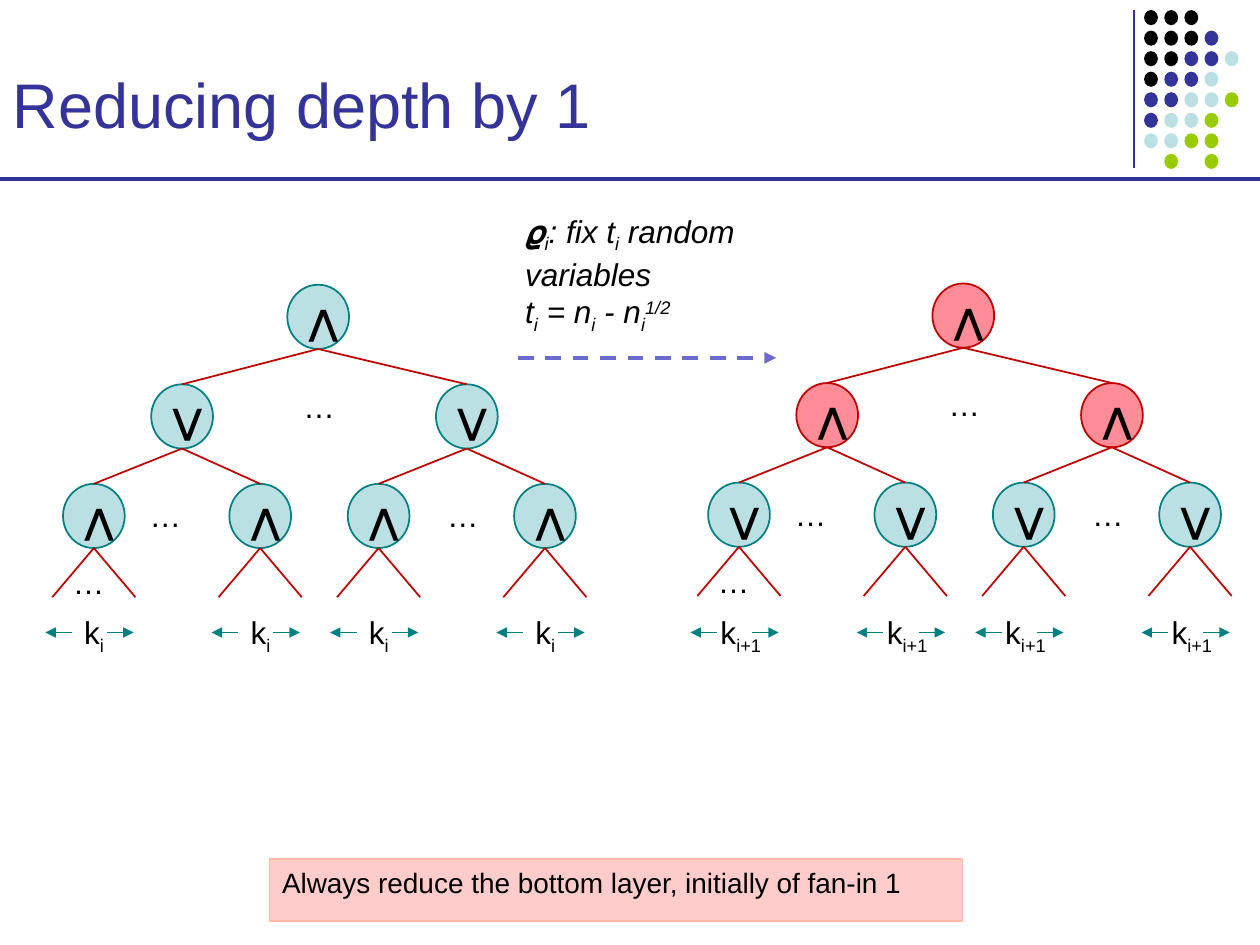
from lxml import etree
from pptx import Presentation
from pptx.dml.color import RGBColor
from pptx.enum import dml, shapes, text
from pptx.oxml import ns
from pptx.util import Inches, Pt

COLORS = {
    "black": "000000", "navy": "333399", "pale": "BBE0E3", "lime": "99CC00",
    "teal": "008080", "red": "C00000", "rose": "FF8C96", "violet": "6B6BCF",
    "blush": "FFCCCC", "peach": "FFB9A6",
}
FONT = "Arial"
DOT_ROWS = ["KKK", "KKKN", "KKNNP", "KNNP", "NNPPL", "NPPL", "PPLL", " L L"]
DOT_COLORS = {"K": "black", "N": "navy", "P": "pale", "L": "lime"}
AND, OR = "⋀", "⋁"
GATE_W, GATE_H = 0.49, 0.51
SUB, SUPER = -25, 30


def rgb(name):
    return RGBColor.from_string(COLORS[name])


def add_run(paragraph, content, size=18, color="black", bold=None, italic=None, baseline=0):
    run = paragraph.add_run()
    run.text = content
    font = run.font
    font.name, font.size, font.bold, font.italic = FONT, Pt(size), bold, italic
    font.color.rgb = rgb(color)
    if baseline:
        run._r.get_or_add_rPr().set("baseline", str(baseline * 1000))


def add_line(slide, start, end, color, width=1, arrow=False, dash=None):
    line = slide.shapes.add_connector(
        shapes.MSO_CONNECTOR.STRAIGHT, *(Inches(v) for v in (*start, *end)))
    line.line.color.rgb = rgb(color)
    line.line.width = Pt(width)
    if dash:
        line.line.dash_style = dash
    if arrow:
        etree.SubElement(line.line._get_or_add_ln(), ns.qn("a:tailEnd"), type="triangle")
    etree.SubElement(line._element.spPr, ns.qn("a:effectLst"))


def add_filled(slide, kind, left, top, width, height, fill, outline=None):
    shape = slide.shapes.add_shape(
        kind, Inches(left), Inches(top), Inches(width), Inches(height))
    shape.shadow.inherit = False
    shape.fill.solid()
    shape.fill.fore_color.rgb = rgb(fill)
    if outline:
        shape.line.color.rgb = rgb(outline)
        shape.line.width = Pt(1)
    else:
        shape.line.fill.background()
    shape.text_frame.vertical_anchor = text.MSO_ANCHOR.TOP
    shape.text_frame.paragraphs[0].alignment = text.PP_ALIGN.LEFT
    return shape


def add_label(slide, left, top, width, height, lines, wrap=True, italic=None):
    """Each line is a list of (text, baseline) pairs."""
    box = slide.shapes.add_textbox(Inches(left), Inches(top), Inches(width), Inches(height))
    frame = box.text_frame
    frame.word_wrap = wrap
    frame.auto_size = text.MSO_AUTO_SIZE.SHAPE_TO_FIT_TEXT
    for index, parts in enumerate(lines):
        paragraph = frame.add_paragraph() if index else frame.paragraphs[0]
        for content, baseline in parts:
            add_run(paragraph, content, italic=italic, baseline=baseline)


def add_gate(slide, left, top, symbol, merged=False):
    fill, outline = ("rose", "red") if merged else ("pale", "teal")
    gate = add_filled(slide, shapes.MSO_SHAPE.OVAL, left, top, GATE_W, GATE_H, fill, outline)
    add_run(gate.text_frame.paragraphs[0], symbol, 20, bold=True)


def add_edge(slide, parent, child):
    """Join the bottom of the parent gate to the top of the child gate."""
    add_line(slide, (child[0] + GATE_W / 2, child[1]),
             (parent[0] + GATE_W / 2, parent[1] + GATE_H), "red")


def add_fan_in(slide, leaf, subscript, label_shift, label_width):
    center, bottom = leaf[0] + GATE_W / 2, leaf[1] + GATE_H
    for side in (-1, 1):
        add_line(slide, (center + side * 0.33, bottom + 0.39), (center, bottom), "red")
        middle = center - 0.035
        add_line(slide, (middle + side * 0.14, 5.02), (middle + side * 0.35, 5.02),
                 "teal", arrow=True)
    add_label(slide, leaf[0] + label_shift, 4.82, label_width, 0.4,
              [[("k", 0), (subscript, SUB)]], wrap=False)


def add_tree(slide, left, top, symbols, merged, subscript, label_shift, label_width):
    """Symbols are those of the root, the middle and the bottom gates."""
    root_symbol, middle_symbol, leaf_symbol = symbols
    root = (left + 1.78, top)
    add_gate(slide, *root, root_symbol, merged)
    for branch in (0.7, 2.96):
        middle = (left + branch, top + 0.79)
        add_gate(slide, *middle, middle_symbol, merged)
        add_edge(slide, root, middle)
        for shift in (-0.7, 0.62):
            leaf = (middle[0] + shift, top + 1.58)
            add_gate(slide, *leaf, leaf_symbol)
            add_edge(slide, middle, leaf)
            add_fan_in(slide, leaf, subscript, label_shift, label_width)
    for x, y in ((1.81, 0.76), (0.59, 1.63), (2.95, 1.63), (-0.02, 2.16)):
        add_label(slide, left + x, top + y, 0.5, 0.4, [[("…", 0)]])


def add_decoration(slide):
    add_line(slide, (9, 0.08), (9, 1.33), "navy", 1.5)
    add_line(slide, (0, 1.42), (10, 1.42), "navy", 2.25)
    for row, marks in enumerate(DOT_ROWS):
        for column, mark in enumerate(marks):
            if mark in DOT_COLORS:
                add_filled(slide, shapes.MSO_SHAPE.OVAL, 9.08 + 0.16 * column,
                           0.08 + 0.163 * row, 0.11, 0.12, DOT_COLORS[mark])


def set_title(slide, content):
    title = slide.shapes.title
    title.left, title.top, title.width, title.height = map(Inches, (0, 0.17, 8.92, 1))
    title.text_frame.vertical_anchor = text.MSO_ANCHOR.BOTTOM
    paragraph = title.text_frame.paragraphs[0]
    paragraph.alignment = text.PP_ALIGN.LEFT
    add_run(paragraph, content, 36, "navy")


def main():
    deck = Presentation()
    deck.slide_width, deck.slide_height = Inches(10), Inches(7.5)
    slide = deck.slides.add_slide(deck.slide_layouts[5])
    add_decoration(slide)
    set_title(slide, "Reducing depth by 1")

    add_tree(slide, 0.5, 2.26, (AND, OR, AND), False, "i", 0.07, 0.36)
    add_tree(slide, 5.62, 2.25, (AND, AND, OR), True, "i+1", 0, 0.56)

    add_line(slide, (4.11, 2.84), (6.16, 2.84), "violet", 2.25, arrow=True,
             dash=dml.MSO_LINE.DASH)
    add_label(slide, 4.07, 1.63, 2.21, 1.01, [
        [("𝛠", 0), ("i", SUB), (": fix t", 0), ("i", SUB), (" random variables", 0)],
        [("t", 0), ("i", SUB), (" = n", 0), ("i", SUB), (" - n", 0), ("i", SUB),
         ("1/2", SUPER)],
    ], italic=True)

    note = add_filled(slide, shapes.MSO_SHAPE.RECTANGLE, 2.14, 6.82, 5.5, 0.49,
                      "blush", "peach")
    add_run(note.text_frame.paragraphs[0],
            "Always reduce the bottom layer, initially of fan-in 1", 16)
    deck.save("out.pptx")


if __name__ == "__main__":
    main()
